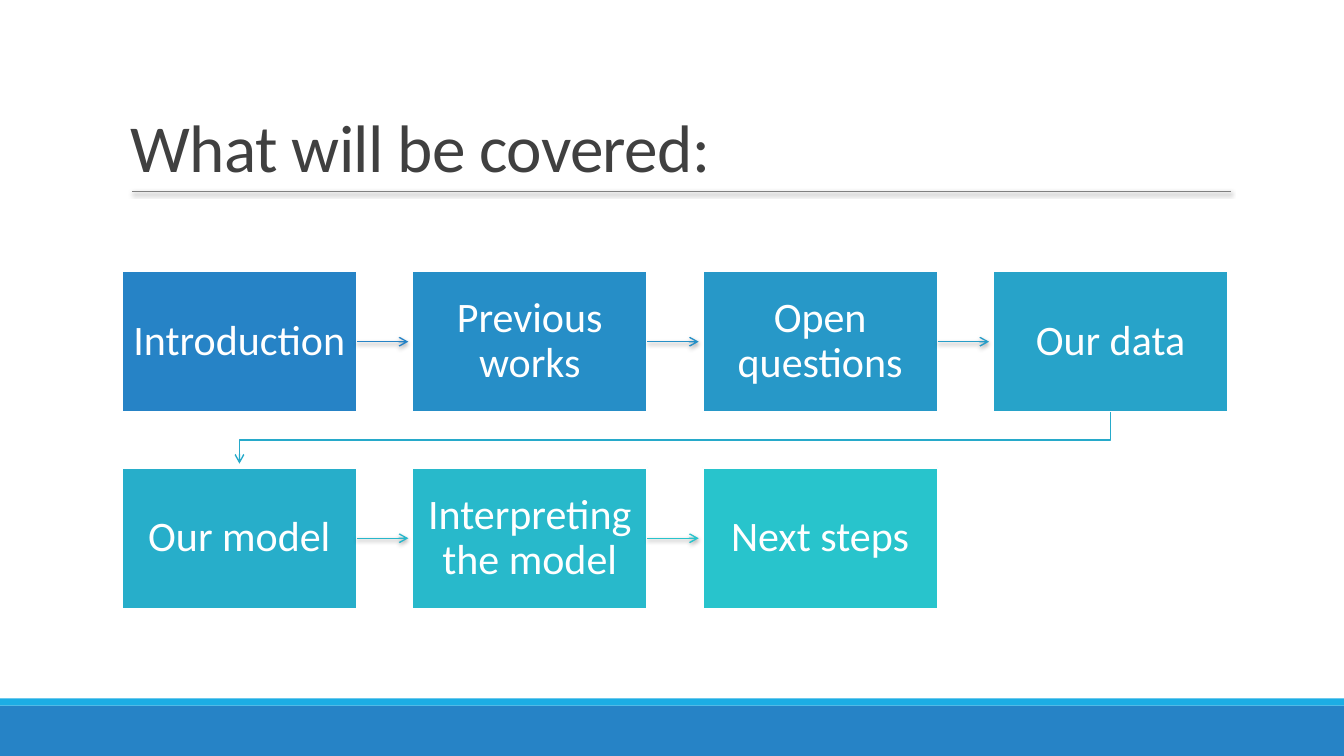
import pptx
import pptx.util
import pptx.dml.color
import pptx.enum.shapes
import pptx.enum.text
import pptx.oxml
import pptx.oxml.ns

Inches, Pt = pptx.util.Inches, pptx.util.Pt
RGB = pptx.dml.color.RGBColor.from_string
RECT = pptx.enum.shapes.MSO_SHAPE.RECTANGLE
STRAIGHT = pptx.enum.shapes.MSO_CONNECTOR.STRAIGHT
ALIGN, ANCHOR = pptx.enum.text.PP_ALIGN, pptx.enum.text.MSO_ANCHOR

THEME = {
    "font": "Calibri", "title_size": 48, "step_size": 30,
    "title": "404040", "white": "FFFFFF", "rule": "808080",
    "footer": "2683C6", "stripe": "1CADE4",
    "steps": ["2683C6", "268EC7", "2798C8", "27A3C9", "27AECA", "28B9CB", "28C4CC"],
    "arrows": ["2683C6", "2690C7", "279DC8", "27AACA", "28B7CB", "28C4CC"],
}
STEPS = ["Introduction", "Previous works", "Open questions", "Our data",
         "Our model", "Interpreting the model", "Next steps"]

# Grid of steps, in inches
W, H = 13.33, 7.5
COLS, LEFT, TOP = 4, 1.21, 2.69
BOX_W, BOX_H = 2.33, 1.4
PITCH_X, PITCH_Y = 2.88, 1.95
TIP_GAP = 0.04


def write(s, text, size, color, spacing, formats):
    tf = s.text_frame
    tf.word_wrap = True
    for name, value in formats.items():
        setattr(tf, name, value)
    p = tf.paragraphs[0]
    p.line_spacing = spacing
    r = p.add_run()
    r.text = text
    for name, value in {"name": THEME["font"], "size": Pt(size)}.items():
        setattr(r.font, name, value)
    r.font.color.rgb = RGB(color)
    return p, r


def style_line(s, color, width, arrow=False):
    s.line.color.rgb = RGB(color)
    s.line.width = Pt(width)
    if arrow:
        tail = pptx.oxml.parse_xml(
            f'<a:tailEnd {pptx.oxml.ns.nsdecls("a")} type="arrow"/>')
        s.line._get_or_add_ln().append(tail)
    if not hasattr(s, "shadow"):
        s._element.spPr.append(pptx.oxml.parse_xml(
            f'<a:effectLst {pptx.oxml.ns.nsdecls("a")}/>'))


prs = pptx.Presentation()
prs.slide_width, prs.slide_height = Inches(W), Inches(H)
slide = prs.slides.add_slide(prs.slide_layouts[6])
shapes = slide.shapes

# Footer bands
for top, height, color in [(7, 0.5, "footer"), (6.93, 0.07, "stripe")]:
    s = shapes.add_shape(RECT, 0, Inches(top), prs.slide_width, Inches(height))
    s.shadow.inherit = False
    s.fill.solid()
    s.fill.fore_color.rgb = RGB(THEME[color])
    s.line.fill.background()

# Title and its rule
rule = shapes.add_connector(STRAIGHT, Inches(1.31), Inches(1.9), Inches(12.21), Inches(1.9))
style_line(rule, THEME["rule"], 0.5)
s = shapes.add_textbox(Inches(1.2), Inches(0.31), Inches(11), Inches(1.59))
p, r = write(s, "What will be covered:", THEME["title_size"], THEME["title"], 0.85,
             {"vertical_anchor": ANCHOR.BOTTOM})
r.font._element.set("spc", "-50")

# Step boxes
boxes = []
for i, (text, color) in enumerate(zip(STEPS, THEME["steps"])):
    row, col = divmod(i, COLS)
    s = shapes.add_shape(RECT, Inches(LEFT + col * PITCH_X), Inches(TOP + row * PITCH_Y),
                         Inches(BOX_W), Inches(BOX_H))
    s.shadow.inherit = False
    s.fill.solid()
    s.fill.fore_color.rgb = RGB(color)
    style_line(s, THEME["white"], 1.25)
    p, r = write(s, text, THEME["step_size"], THEME["white"], 0.9, {
        "vertical_anchor": ANCHOR.MIDDLE,
        "margin_left": Inches(0.11), "margin_right": Inches(0.11),
        "margin_top": Inches(0.12), "margin_bottom": Inches(0.12)})
    p.alignment = ALIGN.CENTER
    boxes.append(s)

# Arrows between steps; the one that changes row bends through the gap
for a, b, color in zip(boxes, boxes[1:], THEME["arrows"]):
    if a.top == b.top:
        y = a.top + a.height // 2
        s = shapes.add_connector(STRAIGHT, a.left + a.width, y, b.left - Inches(TIP_GAP), y)
        s.begin_connect(a, 3)
    else:
        x1, x2 = a.left + a.width // 2, b.left + b.width // 2
        y1, y2 = a.top + a.height, b.top - Inches(TIP_GAP)
        middle = (y1 + b.top) // 2
        path = shapes.build_freeform(x1, y1)
        path.add_line_segments([(x1, middle), (x2, middle), (x2, y2)], close=False)
        s = path.convert_to_shape()
        s.fill.background()
        s.shadow.inherit = False
    style_line(s, color, 1, arrow=True)

prs.save("out.pptx")
